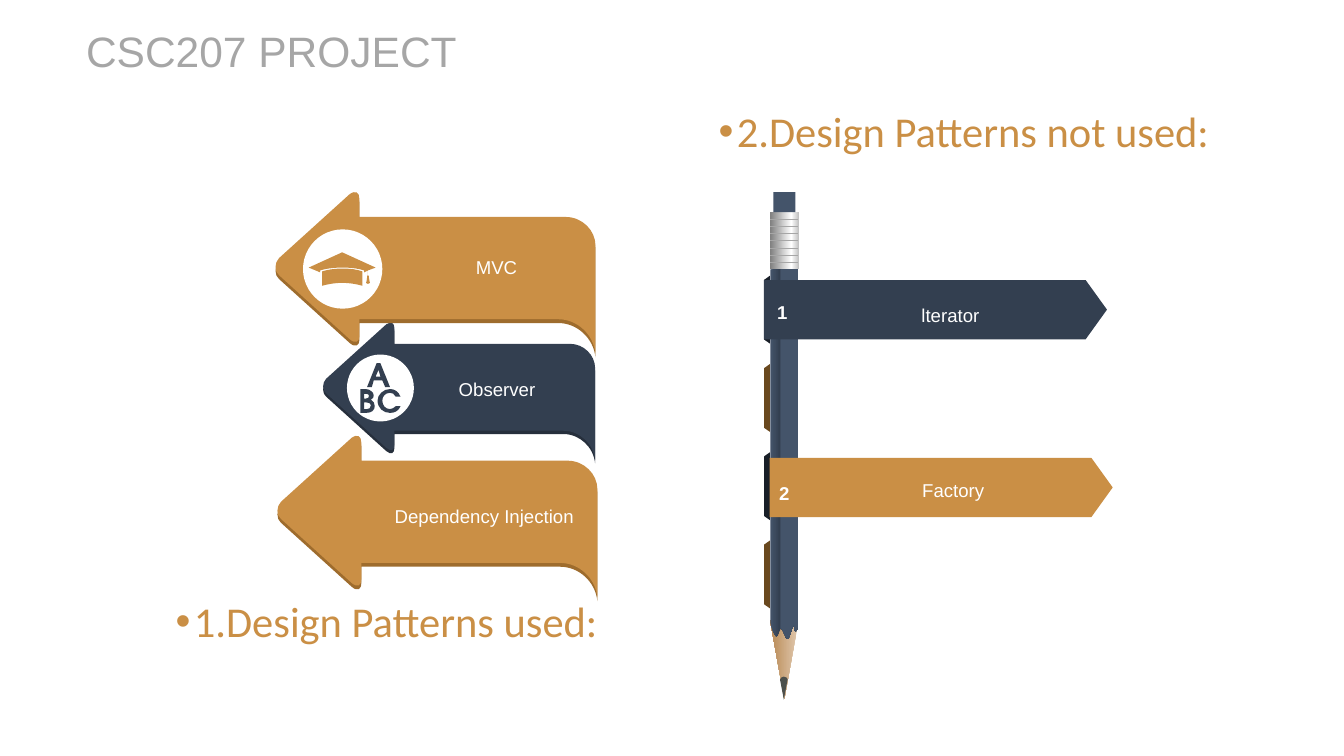
from lxml import etree
from pptx import Presentation
from pptx.dml.color import RGBColor
from pptx.enum.shapes import MSO_CONNECTOR, MSO_SHAPE
from pptx.enum.text import MSO_ANCHOR, MSO_AUTO_SIZE, PP_ALIGN
from pptx.oxml.ns import qn
from pptx.util import Cm, Pt

STRAIGHT = MSO_CONNECTOR.STRAIGHT
RECTANGLE, OVAL = MSO_SHAPE.RECTANGLE, MSO_SHAPE.OVAL
PENTAGON, TRAPEZOID = MSO_SHAPE.PENTAGON, MSO_SHAPE.TRAPEZOID
LEFT, CENTER, JUSTIFY = PP_ALIGN.LEFT, PP_ALIGN.CENTER, PP_ALIGN.JUSTIFY
MIDDLE, FIT_TEXT = MSO_ANCHOR.MIDDLE, MSO_AUTO_SIZE.SHAPE_TO_FIT_TEXT
GOLD, NAVY, WHITE = "CA8F45", "333F50", "FFFFFF"
DARK_GOLD, DARK_NAVY = "9E6C2D", "262F3C"
BROWN, INK, SLATE, GREY = "69481E", "191F28", "44546A", "A6A6A6"

# Outlines: first point, then corners (x, y) or curves (x1, y1, x2, y2, x, y)
ARROW = [[(3.36, 0.58), (3.36, 0.42, 3.22, 0.28, 3.05, 0.28), (0.89, 0.28),
          (0.89, 0.09), (0.89, 0.02, 0.85, 0, 0.79, 0.04), (0.05, 0.71),
          (0, 0.76, 0, 0.85, 0.05, 0.89), (0.79, 1.56),
          (0.85, 1.61, 0.89, 1.59, 0.89, 1.52), (0.89, 1.35), (2.97, 1.35),
          (3.17, 1.35, 3.34, 1.51, 3.36, 1.71)]]
LETTER_A = [[(4.03, 4.05), (4, 3.98), (3.91, 3.98), (3.89, 4.05),
             (3.84, 4.05), (3.94, 3.8), (3.98, 3.8), (4.08, 4.05)],
            [(3.96, 3.87), (3.93, 3.94), (3.98, 3.94)]]
LETTER_B = [[(3.83, 4.32), (3.77, 4.32), (3.77, 4.07), (3.82, 4.07),
             (3.85, 4.07, 3.87, 4.08, 3.88, 4.09),
             (3.9, 4.1, 3.91, 4.12, 3.91, 4.14),
             (3.91, 4.16, 3.9, 4.17, 3.88, 4.18),
             (3.91, 4.2, 3.92, 4.22, 3.92, 4.25),
             (3.92, 4.29, 3.89, 4.32, 3.83, 4.32)],
            [(3.83, 4.12), (3.81, 4.12), (3.81, 4.17), (3.83, 4.17),
             (3.85, 4.17, 3.86, 4.16, 3.86, 4.14),
             (3.86, 4.13, 3.85, 4.12, 3.83, 4.12)],
            [(3.83, 4.21), (3.81, 4.21), (3.81, 4.28), (3.84, 4.28),
             (3.86, 4.28, 3.88, 4.27, 3.88, 4.24),
             (3.88, 4.22, 3.86, 4.21, 3.83, 4.21)]]
LETTER_C = [[(4.08, 4.32), (4.01, 4.32, 3.95, 4.27, 3.95, 4.19),
             (3.95, 4.13, 4.01, 4.07, 4.08, 4.07),
             (4.13, 4.07, 4.17, 4.1, 4.19, 4.15), (4.14, 4.15),
             (4.12, 4.12, 4.11, 4.11, 4.08, 4.11),
             (4.03, 4.11, 4, 4.15, 4, 4.19), (4, 4.24, 4.03, 4.28, 4.08, 4.28),
             (4.1, 4.28, 4.12, 4.27, 4.14, 4.25), (4.19, 4.25),
             (4.17, 4.3, 4.13, 4.32, 4.08, 4.32)]]
CAP_BAND = [[(3.58, 2.81), (3.45, 2.81, 3.37, 2.84, 3.37, 2.84), (3.37, 2.99),
             (3.37, 2.99, 3.47, 2.96, 3.58, 2.96),
             (3.65, 2.96, 3.72, 2.97, 3.79, 2.99), (3.79, 2.84),
             (3.74, 2.82, 3.67, 2.81, 3.58, 2.81)]]
CAP_BOARD = [[(3.86, 2.91), (3.86, 2.89), (3.85, 2.88), (3.85, 2.83),
              (3.93, 2.8), (3.58, 2.64), (3.23, 2.8), (3.35, 2.85),
              (3.35, 2.83), (3.35, 2.83, 3.43, 2.8, 3.58, 2.8),
              (3.68, 2.8, 3.75, 2.81, 3.81, 2.83), (3.81, 2.85), (3.85, 2.83),
              (3.85, 2.88), (3.84, 2.89), (3.84, 2.91),
              (3.84, 2.94, 3.83, 2.95, 3.83, 2.96),
              (3.83, 2.96, 3.84, 2.97, 3.85, 2.97),
              (3.86, 2.97, 3.87, 2.96, 3.87, 2.96)]]
PENCIL_BODY = [[(8.06, 2.82), (8.35, 2.82), (8.35, 6.49),
                (8.35, 6.57, 8.34, 6.6, 8.32, 6.61),
                (8.3, 6.58, 8.31, 6.52, 8.3, 6.54),
                (8.29, 6.55, 8.26, 6.68, 8.24, 6.69),
                (8.22, 6.69, 8.19, 6.58, 8.17, 6.57),
                (8.15, 6.57, 8.14, 6.67, 8.12, 6.66),
                (8.09, 6.63, 8.07, 6.57, 8.06, 6.52)]]
PENCIL_LEAD = [[(8.2, 7.08), (8.23, 7.08, 8.24, 7.1, 8.24, 7.11), (8.2, 7.32),
                (8.16, 7.11), (8.17, 7.09, 8.18, 7.08, 8.2, 7.08)]]


def length(inches):
    return Cm(inches * 2.54)


def color(code):
    return RGBColor.from_string(code)


def paint(shape, fill, angle=0):
    """Fill with one colour, or with a list of (percent, colour) stops."""
    shape.shadow.inherit = False
    shape.line.fill.background()
    if isinstance(fill, str):
        shape.fill.solid()
        shape.fill.fore_color.rgb = color(fill)
        return
    shape.fill.gradient()
    gradient = shape._element.spPr.find(qn("a:gradFill"))
    stops = gradient.find(qn("a:gsLst"))
    for stop in list(stops):
        stops.remove(stop)
    for percent, code in fill:
        stop = etree.SubElement(stops, qn("a:gs"), pos=str(percent * 1000))
        etree.SubElement(stop, qn("a:srgbClr"), val=code)
    gradient.find(qn("a:lin")).set("ang", str(angle * 60000))


def add_preset(page, kind, place, fill, angle=0, rotation=0, adjust=None):
    shape = page.shapes.add_shape(kind, *map(length, place))
    shape.rotation = rotation
    if adjust is not None:
        shape.adjustments[0] = adjust
    paint(shape, fill, angle)


def bend(shape, contours):
    """Join the three segments of each curved step into one Bézier curve."""
    outline = next(shape._element.iter(qn("a:path")))
    segments = iter(outline.findall(qn("a:lnTo")))
    for contour in contours:
        for step in contour[1:]:
            first, *others = [next(segments) for _ in step[::2]]
            if others:
                first.tag = qn("a:cubicBezTo")
            for segment in others:
                first.append(segment[0])
                outline.remove(segment)


def add_outline(page, contours, fill, left=0, top=0, scale=1):
    builder = None
    for contour in contours:
        points = [(length(left + x * scale), length(top + y * scale))
                  for step in contour for x, y in zip(step[::2], step[1::2])]
        if builder is None:
            builder = page.shapes.build_freeform(*points[0], scale=1.0)
        else:
            builder.move_to(*points[0])
        builder.add_line_segments(points[1:], close=True)
    shape = builder.convert_to_shape()
    bend(shape, contours)
    paint(shape, fill)


def add_text(page, text, place, size=14, code=WHITE, align=CENTER, font="Arial",
             bold=False, wrap=False, spacing=1.2):
    box = page.shapes.add_textbox(*map(length, place))
    frame = box.text_frame
    frame.word_wrap = wrap
    frame.auto_size = FIT_TEXT
    para = frame.paragraphs[0]
    para.text = text
    para.alignment = align
    para.line_spacing = spacing
    para.font.name, para.font.size, para.font.bold = font, Pt(size), bold
    para.font.color.rgb = color(code)
    return frame


def add_heading(page, text, place):
    frame = add_text(page, text, place, 32, GOLD, LEFT, "Calibri", spacing=1.0)
    settings = frame.paragraphs[0]._p.get_or_add_pPr()
    settings.set("marL", str(length(0.19)))
    settings.set("indent", str(-length(0.19)))
    bullet_font = etree.Element(qn("a:buFont"), typeface="Arial")
    bullet = etree.Element(qn("a:buChar"), char="•")
    settings.find(qn("a:defRPr")).addprevious(bullet_font)
    bullet_font.addnext(bullet)


def add_arrow(page, left, top, fill, shade, scale=1):
    add_outline(page, ARROW, shade, left, top + 0.04 * scale, scale)
    add_outline(page, ARROW, fill, left, top, scale)


def add_pencil(page):
    add_preset(page, PENTAGON, (7.79, 6.75, 0.83, 0.3),
               [(0, "E1C9AF"), (100, "B88954")], 90, rotation=90, adjust=2.82)
    add_outline(page, PENCIL_BODY, [(0, SLATE), (34, NAVY), (38, SLATE), (100, SLATE)])
    add_preset(page, RECTANGLE, (8.06, 2.22, 0.3, 0.6),
               [(0, "BFBFBF"), (27, WHITE), (100, "808080")], 180)
    add_preset(page, RECTANGLE, (8.09, 2.01, 0.23, 0.21), SLATE)
    add_outline(page, PENCIL_LEAD, "4C504C")
    for row in range(7):
        y = length(2.29 + row * 0.46 / 6)
        ridge = page.shapes.add_connector(STRAIGHT, length(8.06), y, length(8.35), y)
        ridge.line.color.rgb = color(GREY)
        ridge.line.width = Pt(0.5)
        etree.SubElement(ridge._element.spPr, qn("a:effectLst"))
    # Folds behind the pencil
    for row, fill in enumerate((BROWN, INK, BROWN, INK)):
        add_preset(page, TRAPEZOID, (7.67, 5.98 - row * 2.77 / 3, 0.71, 0.06), fill,
                   rotation=270, adjust=0.7)


def main():
    deck = Presentation()
    deck.slide_width, deck.slide_height = length(14.06), length(7.91)
    page = deck.slides.add_slide(deck.slide_layouts[6])

    # Patterns used
    add_arrow(page, 3.37, 3.36, NAVY, DARK_NAVY, 0.85)
    add_arrow(page, 2.87, 1.99, GOLD, DARK_GOLD)
    add_preset(page, OVAL, (3.63, 3.71, 0.7, 0.7), WHITE)
    for letter in (LETTER_A, LETTER_B, LETTER_C):
        add_outline(page, letter, NAVY)
    add_preset(page, OVAL, (3.17, 2.4, 0.83, 0.83), WHITE)
    for part in (CAP_BAND, CAP_BOARD):
        add_outline(page, part, GOLD)
    add_text(page, "MVC", (4.88, 2.58, 0.64, 0.36), align=JUSTIFY)
    add_text(page, "Observer", (4.7, 3.86, 1.01, 0.36), align=JUSTIFY)

    # Patterns not used
    add_pencil(page)
    for left, top, fill in ((7.99, 2.93, NAVY), (8.05, 4.79, GOLD)):
        add_preset(page, PENTAGON, (left, top, 3.59, 0.62), fill, adjust=0.36)
    add_text(page, "lterator ", (8.78, 3.08, 2.38, 0.36), wrap=True)
    add_text(page, "1", (8.03, 3.05, 0.31, 0.36), bold=True)
    add_text(page, "2", (8.05, 4.95, 0.31, 0.38), bold=True)
    add_text(page, "Factory ", (8.81, 4.92, 2.38, 0.36), wrap=True)

    # Headings and title
    add_heading(page, "1.Design Patterns used:", (1.74, 6.18, 4.67, 0.64))
    add_heading(page, "2.Design Patterns not used:", (7.42, 1.05, 5.4, 0.64))
    title = add_text(page, "CSC207 PROJECT", (0.9, 0.26, 4.32, 0.54), 32, GREY,
                     LEFT, wrap=True, spacing=1.0)
    title.vertical_anchor = MIDDLE
    title.margin_left = title.margin_right = title.margin_top = title.margin_bottom = 0

    # Last pattern used
    add_arrow(page, 2.89, 4.54, GOLD, DARK_GOLD)
    add_text(page, "Dependency Injection", (4.03, 5.19, 2.08, 0.38), align=JUSTIFY)

    deck.save("out.pptx")


if __name__ == "__main__":
    main()
